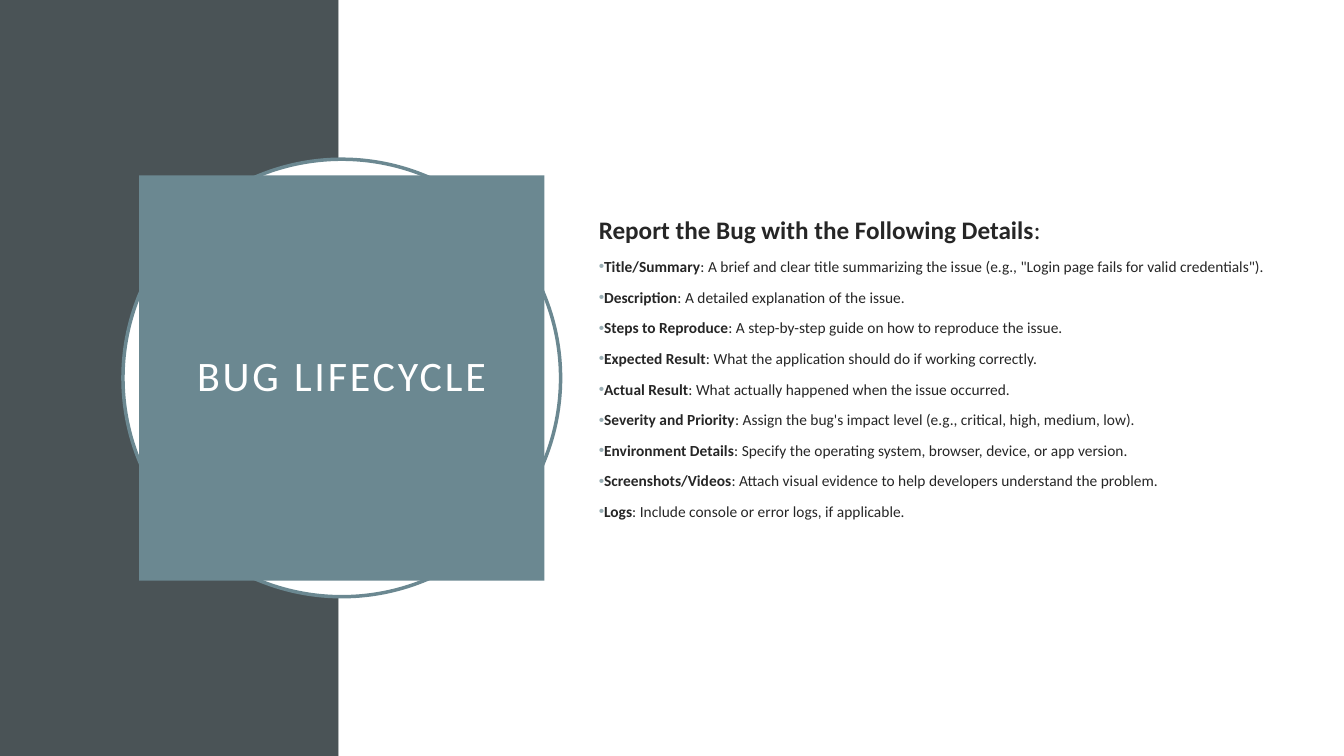
from dataclasses import dataclass

from lxml import etree
from pptx import Presentation
from pptx.dml.color import RGBColor
from pptx.enum.shapes import MSO_SHAPE as Preset
from pptx.enum.text import MSO_ANCHOR as Anchor, PP_ALIGN as Align
from pptx.oxml.ns import qn
from pptx.util import Inches, Pt


@dataclass(frozen=True)
class Theme:
    font: str = "Calibri"
    dark: str = "4A5356"
    accent: str = "6B8891"
    bullet: str = "9BAFB5"
    ink: str = "262626"
    white: str = "FFFFFF"
    title_size: int = 30
    heading_size: int = 18
    detail_size: int = 11


THEME = Theme()
SLIDE_W, SLIDE_H = 13.33, 7.5
BAND_W = 3.36
BADGE_BOX = (1.22, 1.58, 4.34, 4.34)
DETAILS_BOX = (5.84, 1.58, 7.29, 4.34)

TITLE = "BUG LIFECYCLE"
HEADING = ("Report the Bug with the Following Details", ":")
DETAILS = [
    ("Title/Summary", ": A brief and clear title summarizing the issue "
                      "(e.g., \"Login page fails for valid credentials\")."),
    ("Description", ": A detailed explanation of the issue."),
    ("Steps to Reproduce", ": A step-by-step guide on how to reproduce the issue."),
    ("Expected Result", ": What the application should do if working correctly."),
    ("Actual Result", ": What actually happened when the issue occurred."),
    ("Severity and Priority", ": Assign the bug's impact level (e.g., critical, high, medium, low)."),
    ("Environment Details", ": Specify the operating system, browser, device, or app version."),
    ("Screenshots/Videos", ": Attach visual evidence to help developers understand the problem."),
    ("Logs", ": Include console or error logs, if applicable."),
]


def color(name):
    return RGBColor.from_string(name)


def add_panel(slide, preset, box, fill, line=None):
    panel = slide.shapes.add_shape(preset, *map(Inches, box))
    panel.shadow.inherit = False
    panel.fill.solid()
    panel.fill.fore_color.rgb = color(fill)
    if line:
        panel.line.color.rgb = color(line)
        panel.line.width = Pt(2.5)
    else:
        panel.line.fill.background()
    return panel


def set_insets(frame, left, top, right, bottom):
    frame.margin_left, frame.margin_top = Inches(left), Inches(top)
    frame.margin_right, frame.margin_bottom = Inches(right), Inches(bottom)


def style_font(font, size, ink, bold=False):
    font.name = THEME.font
    font.size = Pt(size)
    font.bold = bold
    font.color.rgb = color(ink)


def add_bullet(paragraph):
    props = paragraph._p.get_or_add_pPr()
    props.set("marL", "0")
    props.set("indent", str(-Inches(0.25)))
    bullet_color = etree.SubElement(props, qn("a:buClr"))
    etree.SubElement(bullet_color, qn("a:srgbClr"), val=THEME.bullet)
    etree.SubElement(props, qn("a:buFont"), typeface="Arial")
    etree.SubElement(props, qn("a:buChar"), char="•")


def write_entry(paragraph, label, body, size):
    paragraph.line_spacing = 0.9
    for text, bold in ((label, True), (body, False)):
        run = paragraph.add_run()
        run.text = text
        style_font(run.font, size, THEME.ink, bold)


def add_background(slide, box):
    left, top, width, height = box
    add_panel(slide, Preset.RECTANGLE, (left, top, BAND_W, height), THEME.dark)
    add_panel(slide, Preset.RECTANGLE,
              (left + BAND_W, top, width - BAND_W, height), THEME.white)


def add_title_badge(slide, box):
    left, top, width, height = box
    gap = 0.16
    add_panel(slide, Preset.OVAL, box, THEME.white, THEME.accent)
    badge = add_panel(slide, Preset.RECTANGLE,
                      (left + gap, top + gap, width - 2 * gap, height - 2 * gap),
                      THEME.accent)
    frame = badge.text_frame
    frame.word_wrap = True
    frame.vertical_anchor = Anchor.MIDDLE
    set_insets(frame, 0.2, 0.2, 0.2, 0.2)
    frame.text = TITLE
    title = frame.paragraphs[0]
    title.alignment = Align.CENTER
    title.line_spacing = 0.9
    style_font(title.runs[0].font, THEME.title_size, THEME.white)
    # Letter spacing in hundredths of a point
    title.runs[0].font._element.set("spc", "200")


def add_details(slide, box):
    frame = slide.shapes.add_textbox(*map(Inches, box)).text_frame
    frame.word_wrap = True
    frame.vertical_anchor = Anchor.MIDDLE
    # The deeper bottom inset lifts the list slightly above centre
    set_insets(frame, 0.1, 0.19, 0.1, 0.36)
    write_entry(frame.paragraphs[0], *HEADING, THEME.heading_size)
    for label, body in DETAILS:
        detail = frame.add_paragraph()
        detail.space_before = Pt(10)
        add_bullet(detail)
        write_entry(detail, label, body, THEME.detail_size)


def main():
    deck = Presentation()
    deck.slide_width, deck.slide_height = Inches(SLIDE_W), Inches(SLIDE_H)
    slide = deck.slides.add_slide(deck.slide_layouts[6])
    add_background(slide, (0, 0, SLIDE_W, SLIDE_H))
    add_title_badge(slide, BADGE_BOX)
    add_details(slide, DETAILS_BOX)
    deck.save("out.pptx")


if __name__ == "__main__":
    main()
